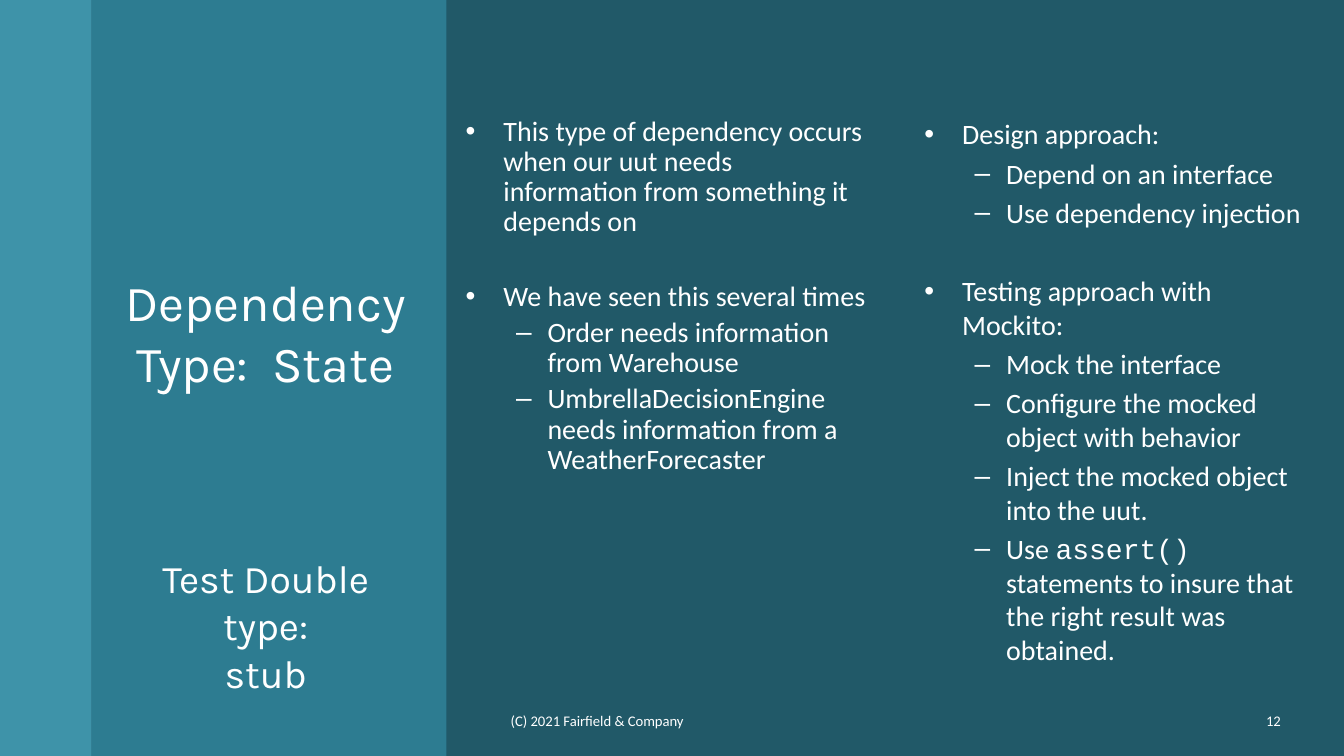
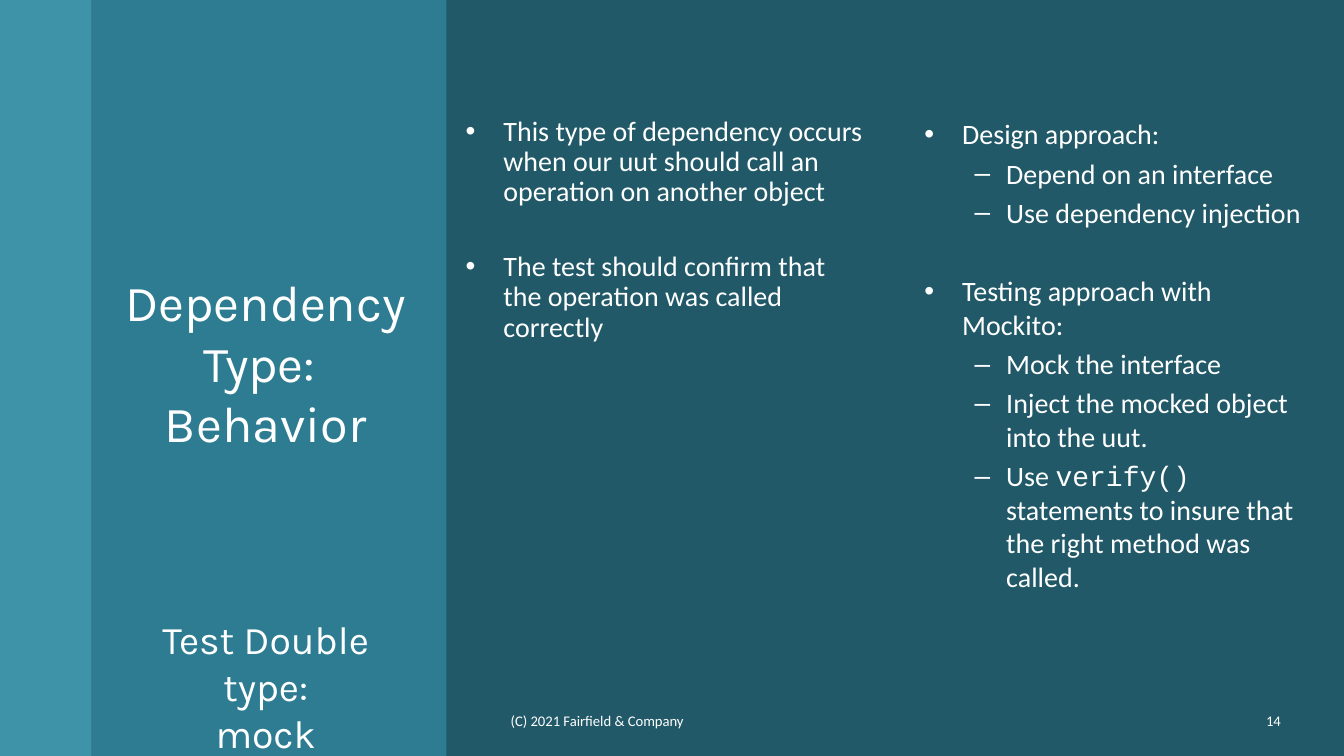
from typing import NamedTuple

from lxml import etree
from pptx import Presentation
from pptx import util as u
from pptx.dml.color import RGBColor
from pptx.enum import shapes, text
from pptx.oxml import ns

WHITE = RGBColor(0xFF, 0xFF, 0xFF)
BACKGROUND = RGBColor(0x21, 0x59, 0x68)
LIGHT_TEAL = RGBColor(0x4B, 0xAC, 0xC6)
MID_TEAL = RGBColor(0x31, 0x85, 0x9C)

TITLE_FONT = "Karla"
BODY_FONT = "Calibri"
CODE_FONT = "Courier New"

SLIDE_WIDTH, SLIDE_HEIGHT = u.Cm(33.87), u.Cm(19.05)
SECTION_GAP = 28
TWO_CONTENT_LAYOUT = 3
FOOTER = "(C) 2021 Fairfield & Company"


class Box(NamedTuple):
    left: float
    top: float
    width: float
    height: float

    def lengths(self) -> list[u.Cm]:
        return [u.Cm(value) for value in self]


class Band(NamedTuple):
    left: float
    width: float
    color: RGBColor
    opacity: int


class Item(NamedTuple):
    text: str
    level: int = 0
    new_section: bool = False
    code: str = ""
    ending: str = ""


class Topic(NamedTuple):
    number: int
    kind: str
    double: str
    explanation: list[Item]
    approach: list[Item]


BANDS = [Band(0, 2.31, LIGHT_TEAL, 70), Band(2.31, 8.94, MID_TEAL, 80)]
TITLE_BOX = Box(2.77, 6.71, 7.85, 10.26)
EXPLANATION_BOX = Box(11.48, 2.82, 10.67, 14.15)
APPROACH_BOX = Box(23.04, 2.82, 10.08, 14.15)
FOOTER_BOX = Box(12.62, 17.65, 15.8, 1.02)
NUMBER_BOX = Box(28.75, 17.65, 3.78, 1.02)

DESIGN = [
    Item("Design approach:"),
    Item("Depend on an interface", 1),
    Item("Use dependency injection", 1),
    Item("Testing approach with Mockito:", new_section=True),
    Item("Mock the interface", 1),
]
INJECT = Item("Inject the mocked object into the uut.", 1)

TOPICS = [
    Topic(
        12, "State", "stub",
        [
            Item("This type of dependency occurs when our uut needs "
                 "information from something it depends on"),
            Item("We have seen this several times", new_section=True),
            Item("Order needs information from Warehouse", 1),
            Item("UmbrellaDecisionEngine needs information from a "
                 "WeatherForecaster", 1),
        ],
        DESIGN + [
            Item("Configure the mocked object with behavior", 1),
            INJECT,
            Item("Use ", 1, code="assert() ",
                 ending="statements to insure that the right result was obtained."),
        ],
    ),
    Topic(
        14, "Behavior", "mock",
        [
            Item("This type of dependency occurs when our uut should call "
                 "an operation on another object"),
            Item("The test should confirm that the operation was called "
                 "correctly", new_section=True),
        ],
        DESIGN + [
            INJECT,
            Item("Use ", 1, code="verify() ",
                 ending="statements to insure that the right method was called."),
        ],
    ),
]


def add_text(paragraph, content: str, *, size: float = 20,
             font: str = BODY_FONT, color: RGBColor = WHITE) -> None:
    """Append formatted text; each newline becomes a line break."""
    for index, line in enumerate(content.split("\n")):
        if index:
            paragraph.add_line_break()
        run = paragraph.add_run()
        run.text = line
        run.font.size = u.Pt(size)
        run.font.name = font
        run.font.color.rgb = color


def place(shape, box: Box, anchor=text.MSO_ANCHOR.TOP):
    """Position a text shape and return its text frame."""
    shape.left, shape.top, shape.width, shape.height = box.lengths()
    frame = shape.text_frame
    frame.word_wrap = True
    frame.auto_size = text.MSO_AUTO_SIZE.NONE
    frame.vertical_anchor = anchor
    return frame


def add_band(slide, band: Band, depth: int) -> None:
    """Draw a translucent full-height band behind the placeholders."""
    shape = slide.shapes.add_shape(shapes.MSO_SHAPE.RECTANGLE, u.Cm(band.left), 0,
                                   u.Cm(band.width), SLIDE_HEIGHT)
    shape.shadow.inherit = False
    shape.line.fill.background()
    shape.fill.solid()
    shape.fill.fore_color.rgb = band.color
    color = shape.fill._xPr.find(".//" + ns.qn("a:srgbClr"))
    etree.SubElement(color, ns.qn("a:alpha"), val=str(band.opacity * 1000))
    slide.shapes._spTree.insert(2 + depth, shape._element)


def fill_title(shape, topic: Topic) -> None:
    frame = place(shape, TITLE_BOX)
    heading, subtitle = frame.paragraphs[0], frame.add_paragraph()
    heading.alignment = subtitle.alignment = text.PP_ALIGN.CENTER
    add_text(heading, f"Dependency Type:  {topic.kind}", size=36, font=TITLE_FONT)
    subtitle.space_before = u.Pt(116)
    add_text(subtitle, f"Test Double type:\n{topic.double}", size=28, font=TITLE_FONT)


def fill_list(shape, box: Box, items: list[Item], line_spacing: float) -> None:
    frame = place(shape, box)
    for index, item in enumerate(items):
        paragraph = frame.add_paragraph() if index else frame.paragraphs[0]
        paragraph.level = item.level
        paragraph.line_spacing = line_spacing
        if index == 0:
            paragraph.space_before = u.Pt(0)
        elif item.new_section:
            paragraph.space_before = u.Pt(SECTION_GAP + 4)
        add_text(paragraph, item.text)
        if item.code:
            add_text(paragraph, item.code, font=CODE_FONT)
            add_text(paragraph, item.ending)


def add_footer(slide, box: Box, content: str, alignment) -> None:
    shape = slide.shapes.add_textbox(*box.lengths())
    frame = place(shape, box, text.MSO_ANCHOR.MIDDLE)
    paragraph = frame.paragraphs[0]
    paragraph.alignment = alignment
    paragraph.space_after = u.Pt(6)
    add_text(paragraph, content, size=10.5)


def add_topic(presentation, topic: Topic) -> None:
    slide = presentation.slides.add_slide(presentation.slide_layouts[TWO_CONTENT_LAYOUT])
    for depth, band in enumerate(BANDS):
        add_band(slide, band, depth)
    fill_title(slide.shapes.title, topic)
    fill_list(slide.placeholders[1], EXPLANATION_BOX, topic.explanation, 0.9)
    fill_list(slide.placeholders[2], APPROACH_BOX, topic.approach, 1.0)
    add_footer(slide, FOOTER_BOX, FOOTER, text.PP_ALIGN.LEFT)
    add_footer(slide, NUMBER_BOX, str(topic.number), text.PP_ALIGN.RIGHT)


def main() -> None:
    presentation = Presentation()
    presentation.slide_width, presentation.slide_height = SLIDE_WIDTH, SLIDE_HEIGHT
    background = presentation.slide_master.background.fill
    background.solid()
    background.fore_color.rgb = BACKGROUND
    for topic in TOPICS:
        add_topic(presentation, topic)
    presentation.save("out.pptx")


if __name__ == "__main__":
    main()
